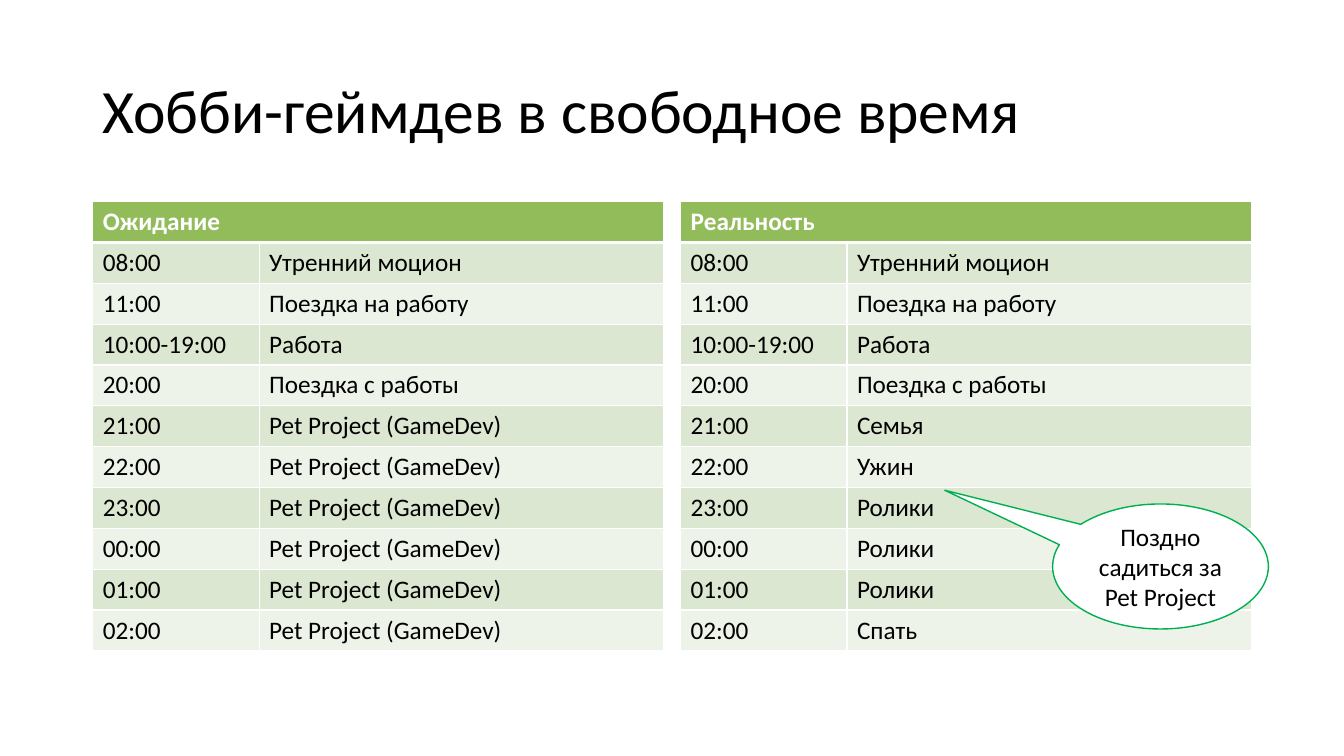
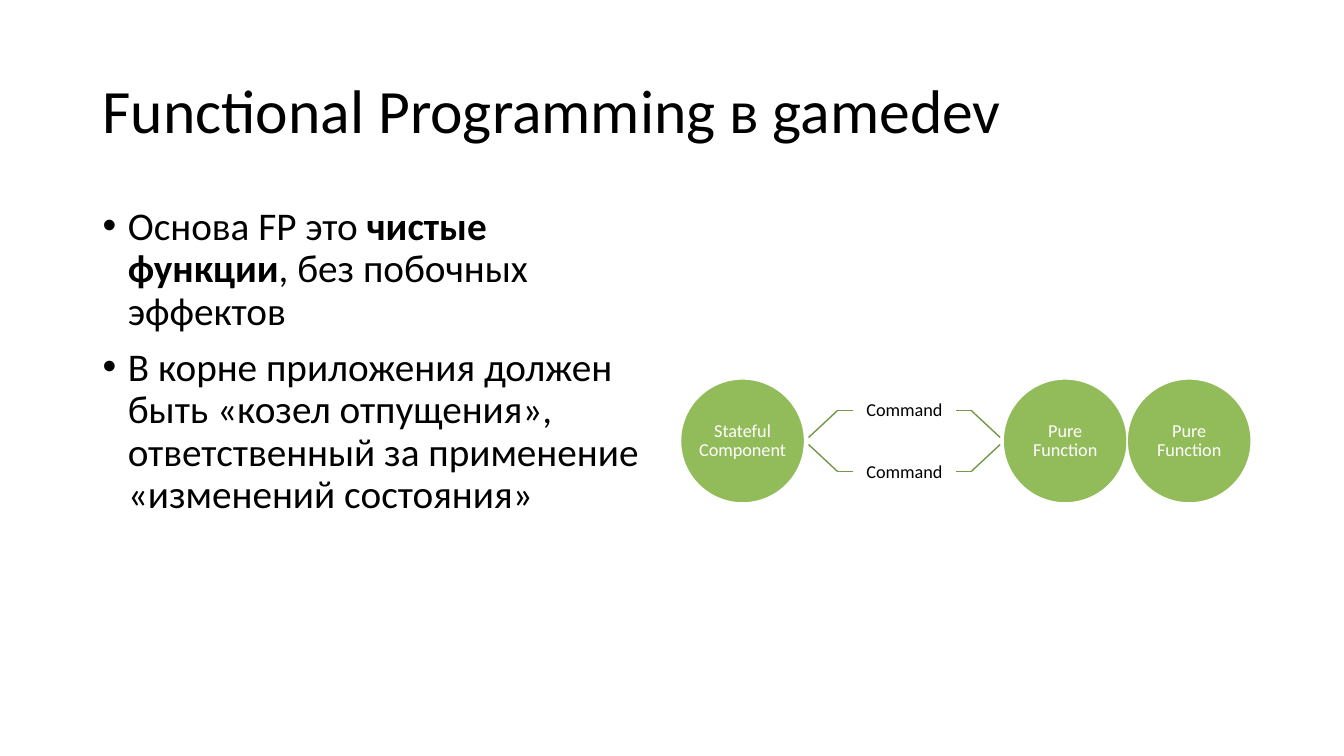
"""Build two slides: a pair of hobby schedules and a functional programming diagram."""
from lxml import etree
from pptx import Presentation
from pptx.dml.color import RGBColor
from pptx.enum.shapes import MSO_CONNECTOR, MSO_SHAPE
from pptx.enum.text import MSO_ANCHOR, PP_ALIGN
from pptx.oxml.ns import qn
from pptx.util import Pt

PX = 9144
FONT = "Calibri"
BLACK = RGBColor(0x00, 0x00, 0x00)
WHITE = RGBColor(0xFF, 0xFF, 0xFF)
GREEN = RGBColor(0x92, 0xBC, 0x5A)
DARK_GREEN = RGBColor(0x75, 0x97, 0x48)
CALLOUT_GREEN = RGBColor(0x00, 0xB0, 0x50)
BANDS = (RGBColor(0xDC, 0xE7, 0xD2), RGBColor(0xEE, 0xF3, 0xEA))
ELLIPSE = MSO_SHAPE.OVAL
CALLOUT = MSO_SHAPE.OVAL_CALLOUT
STRAIGHT = MSO_CONNECTOR.STRAIGHT
MIDDLE = MSO_ANCHOR.MIDDLE
CENTER = PP_ALIGN.CENTER

LEFT_COL, RIGHT_COL, TOP = 92, 675, 200
COL_WIDTHS = (165, 401)
TABLE_HEIGHT = 446

SCHEDULE_TITLE = "Хобби-геймдев в свободное время"
TIMES = ("08:00", "11:00", "10:00-19:00", "20:00", "21:00",
         "22:00", "23:00", "00:00", "01:00", "02:00")
WORKDAY = ["Утренний моцион", "Поездка на работу", "Работа", "Поездка с работы"]
SCHEDULES = (
    (LEFT_COL, "Ожидание", WORKDAY + ["Pet Project (GameDev)"] * 6),
    (RIGHT_COL, "Реальность", WORKDAY + ["Семья", "Ужин"] + ["Ролики"] * 3 + ["Спать"]),
)
CALLOUT_TEXT = "Поздно садиться за Pet Project"

FP_TITLE = "Functional Programming в gamedev"
BULLETS = (
    (("Основа FP это ", False), ("чистые функции", True), (", без побочных эффектов", False)),
    (("В корне приложения должен быть «козел отпущения», "
      "ответственный за применение «изменений состояния»", False),),
)
CIRCLES = ((675, "Stateful Component"), (995, "Pure Function"), (1118, "Pure Function"))
CIRCLE_TOP, CIRCLE_SIZE = 376, 123
COMMAND = "Command"
COMMAND_LEFT, COMMAND_WIDTH, COMMAND_HEIGHT = 846, 102, 61
BRANCHES = ((434, 407), (441, 468))
BRANCH_X = (802, 831, 846)
MIRROR = 2 * COMMAND_LEFT + COMMAND_WIDTH


def px(*values):
    return [v * PX for v in values]


def style_run(r, size, color, bold=False):
    r.font.name = FONT
    r.font.size = Pt(size)
    r.font.color.rgb = color
    r.font.bold = bold


def write(tf, text, size, color, align=None, spacing=None, bold=False):
    tf.word_wrap = True
    p = tf.paragraphs[0]
    p.text = text
    p.alignment = align
    p.line_spacing = spacing
    style_run(p.runs[0], size, color, bold)


def add_text(s, box, text, size, align=None):
    tf = s.shapes.add_textbox(*px(*box)).text_frame
    tf.vertical_anchor = MIDDLE
    write(tf, text, size, BLACK, align, 0.9)


def add_slide(prs, title):
    s = prs.slides.add_slide(prs.slide_layouts[6])
    add_text(s, (LEFT_COL, 40, 1150, 145), title, 44)
    return s


def add_shape(s, kind, box, fill, line):
    sp = s.shapes.add_shape(kind, *px(*box))
    sp.shadow.inherit = False
    sp.fill.solid()
    sp.fill.fore_color.rgb = fill
    sp.line.color.rgb = line
    sp.line.width = Pt(1)
    sp.text_frame.vertical_anchor = MIDDLE
    return sp


def add_line(s, x1, y1, x2, y2):
    line = s.shapes.add_connector(STRAIGHT, *px(x1, y1, x2, y2))
    line.line.color.rgb = DARK_GREEN
    line.line.width = Pt(1)
    etree.SubElement(line._element.spPr, qn("a:effectLst"))


def style_cell(cell, fill, top, bottom):
    tc_pr = cell._tc.get_or_add_tcPr()
    for side, width in (("L", 1), ("R", 1), ("T", top), ("B", bottom)):
        ln = etree.SubElement(tc_pr, qn(f"a:ln{side}"), w=str(Pt(width)))
        solid = etree.SubElement(ln, qn("a:solidFill"))
        etree.SubElement(solid, qn("a:srgbClr"), val=str(WHITE))
    cell.fill.solid()
    cell.fill.fore_color.rgb = fill


def add_schedule(s, left, heading, activities):
    rows = [(heading, "")] + list(zip(TIMES, activities))
    box = px(left, TOP, sum(COL_WIDTHS), TABLE_HEIGHT)
    table = s.shapes.add_table(len(rows), len(COL_WIDTHS), *box).table
    for column, width in zip(table.columns, px(*COL_WIDTHS)):
        column.width = width
    table.cell(0, 0).merge(table.cell(0, 1))
    for i, row in enumerate(rows):
        header = i == 0
        fill = GREEN if header else BANDS[(i - 1) % 2]
        for j, text in enumerate(row):
            cell = table.cell(i, j)
            style_cell(cell, fill, 3 if i == 1 else 1, 3 if header else 1)
            if text:
                write(cell.text_frame, text, 18, WHITE if header else BLACK, bold=header)


def add_bullets(s):
    tf = s.shapes.add_textbox(*px(LEFT_COL, TOP, 567, 476)).text_frame
    tf.word_wrap = True
    for i, parts in enumerate(BULLETS):
        p = tf.add_paragraph() if i else tf.paragraphs[0]
        p.line_spacing = 0.9
        p.space_before = Pt(10)
        p_pr = p._p.get_or_add_pPr()
        p_pr.set("marL", str(25 * PX))
        p_pr.set("indent", str(-25 * PX))
        etree.SubElement(p_pr, qn("a:buFont"), typeface="Arial")
        etree.SubElement(p_pr, qn("a:buChar"), char="•")
        for text, bold in parts:
            r = p.add_run()
            r.text = text
            style_run(r, 28, BLACK, bold)


def add_circle(s, left, text):
    sp = add_shape(s, ELLIPSE, (left, CIRCLE_TOP, CIRCLE_SIZE, CIRCLE_SIZE), GREEN, WHITE)
    tf = sp.text_frame
    tf.margin_left = tf.margin_right = tf.margin_top = tf.margin_bottom = 0
    write(tf, text, 13, WHITE, CENTER, 0.9)


def add_branch(s, start_y, y):
    for start, bend, end in (BRANCH_X, [MIRROR - x for x in BRANCH_X]):
        inset = 6 if start < bend else -6
        add_line(s, start, start_y, bend, y)
        add_line(s, bend, y, end, y)
    box = (COMMAND_LEFT, y - COMMAND_HEIGHT // 2, COMMAND_WIDTH, COMMAND_HEIGHT)
    add_text(s, box, COMMAND, 13, CENTER)


def main():
    prs = Presentation()
    prs.slide_width, prs.slide_height = px(1333, 750)

    s = add_slide(prs, SCHEDULE_TITLE)
    for schedule in SCHEDULES:
        add_schedule(s, *schedule)
    sp = add_shape(s, CALLOUT, (1044, 500, 214, 124), WHITE, CALLOUT_GREEN)
    sp.adjustments[0], sp.adjustments[1] = -1.0, -0.61
    write(sp.text_frame, CALLOUT_TEXT, 18, BLACK, CENTER)

    s = add_slide(prs, FP_TITLE)
    add_bullets(s)
    for circle in CIRCLES:
        add_circle(s, *circle)
    for branch in BRANCHES:
        add_branch(s, *branch)

    prs.save("out.pptx")


if __name__ == "__main__":
    main()
